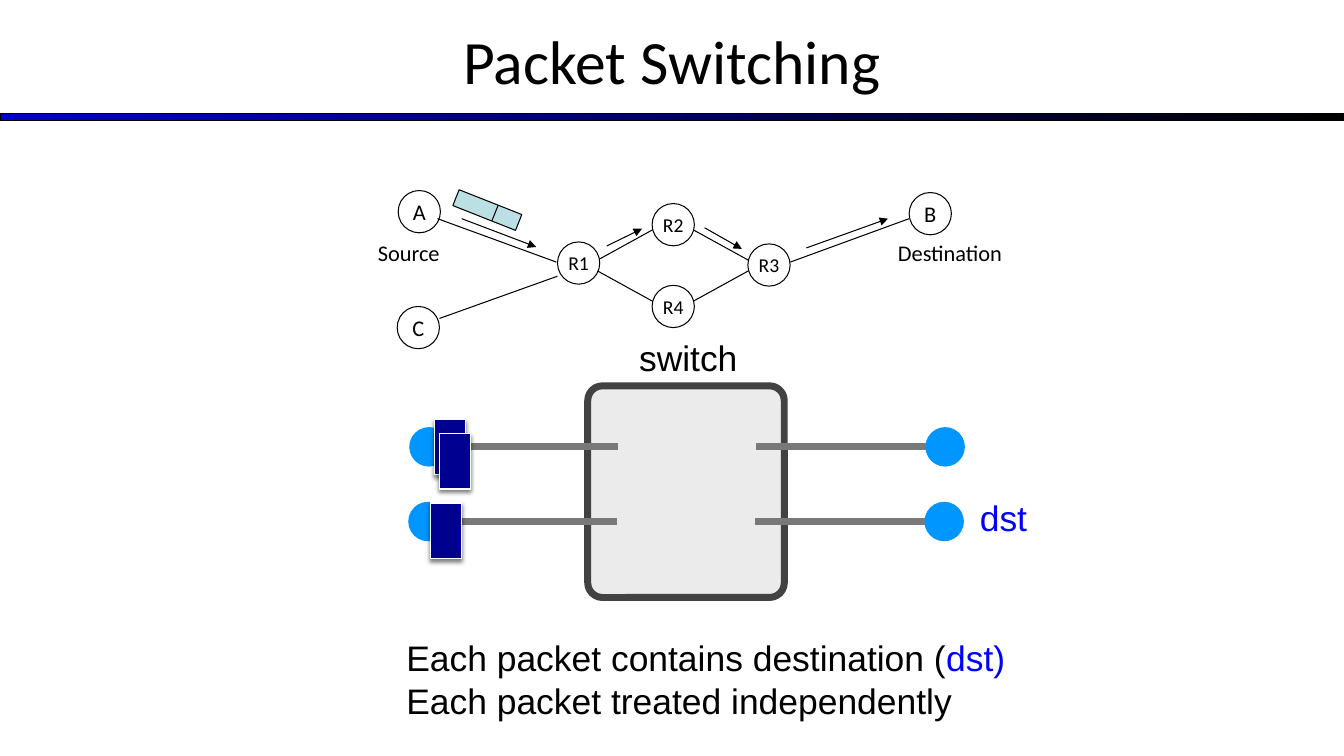
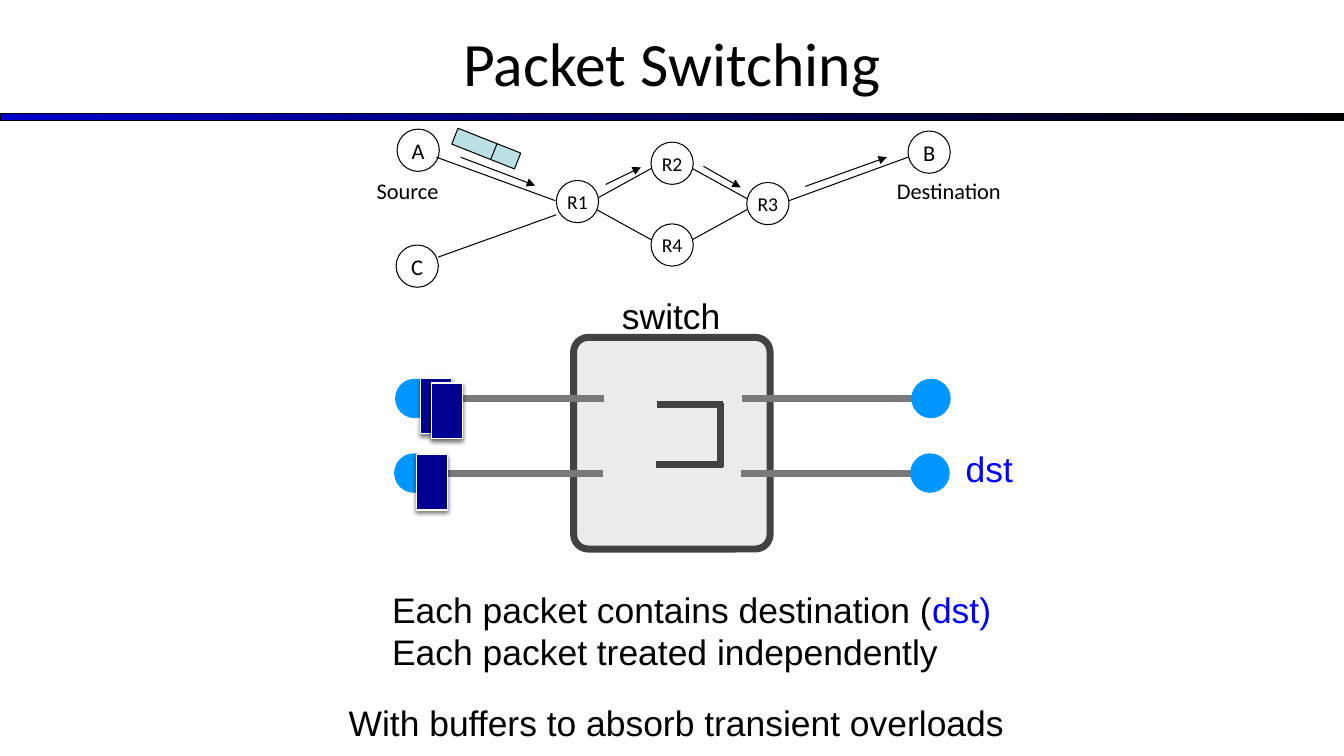
from lxml import etree
from pptx import Presentation, util as u
from pptx.dml.color import RGBColor
from pptx.enum import shapes, text
from pptx.oxml import ns

Pt = u.Pt
AUTO = shapes.MSO_SHAPE
COLORS = {
    "black": "000000", "white": "FFFFFF", "band": "0000CC", "dst": "0000FF",
    "header": "BBE0E3", "box": "EBEBEB", "frame": "424242", "wire": "797979",
    "port": "0096FF", "packet": "000090",
}
TITLE_FONT, BODY_FONT, BODY_SIZE = "Calibri", "Arial", 25.3
WIDTH, HEIGHT = 960, 540


def rgb(name):
    return RGBColor.from_string(COLORS[name])


def add_xml(parent, tag, **attrs):
    return etree.SubElement(parent, ns.qn(tag), attrs)


class Deck:
    """Style, current slide and the origin its elements are placed from."""

    def __init__(self):
        self.prs = Presentation()
        self.prs.slide_width, self.prs.slide_height = Pt(WIDTH), Pt(HEIGHT)

    def origin(self, dx, dy):
        self.dx, self.dy = dx, dy

    def place(self, x, y):
        return Pt(x + self.dx), Pt(y + self.dy)

    def new_slide(self, title, title_height):
        self.slide = self.prs.slides.add_slide(self.prs.slide_layouts[6])
        self.origin(0, 0)
        band = self.shape(AUTO.RECTANGLE, 0, 81.2, WIDTH, 5, line="black")
        band.fill.gradient()
        band.fill.gradient_angle = 0
        for stop, color in zip(band.fill.gradient_stops, ("band", "black")):
            stop.color.rgb = rgb(color)
        self.text(0, 0, WIDTH, title_height, [[(title, "black")]], 44, TITLE_FONT,
                  align=text.PP_ALIGN.CENTER)

    def shape(self, kind, x, y, w, h, fill=None, line=None, weight=0.75):
        s = self.slide.shapes.add_shape(kind, *self.place(x, y), Pt(w), Pt(h))
        s.shadow.inherit = False
        if fill:
            s.fill.solid()
            s.fill.fore_color.rgb = rgb(fill)
        else:
            s.fill.background()
        if line:
            s.line.color.rgb = rgb(line)
            s.line.width = Pt(weight)
        else:
            s.line.fill.background()
        return s

    def line(self, x1, y1, x2, y2, color="black", weight=0.75, arrow=False):
        s = self.slide.shapes.add_connector(
            shapes.MSO_CONNECTOR.STRAIGHT, *self.place(x1, y1), *self.place(x2, y2))
        s.line.color.rgb = rgb(color)
        s.line.width = Pt(weight)
        sp = s._element.spPr
        if arrow:
            add_xml(sp.find(ns.qn("a:ln")), "a:tailEnd", type="triangle")
        add_xml(sp, "a:effectLst")

    def text(self, x, y, w, h, lines, size=BODY_SIZE, font=BODY_FONT, align=None):
        s = self.slide.shapes.add_textbox(*self.place(x, y), Pt(w), Pt(h))
        tf = s.text_frame
        tf.word_wrap = True
        tf.vertical_anchor = text.MSO_ANCHOR.MIDDLE
        tf.margin_left = tf.margin_right = tf.margin_top = tf.margin_bottom = Pt(2.9)
        for i, pieces in enumerate(lines):
            p = tf.add_paragraph() if i else tf.paragraphs[0]
            p.alignment = align
            for words, color in pieces:
                r = p.add_run()
                r.text = words
                self.font(r, size, font, color)

    def font(self, r, size, name, color):
        r.font.size, r.font.name = Pt(size), name
        r.font.color.rgb = rgb(color)

    def node(self, name, x, y):
        s = self.shape(AUTO.OVAL, x, y, 30.2, 30.2, "white", "black")
        tf = s.text_frame
        tf.margin_left = tf.margin_right = tf.margin_top = tf.margin_bottom = 0
        tf.word_wrap = False
        tf.text = name
        p = tf.paragraphs[0]
        p.alignment = text.PP_ALIGN.CENTER
        self.font(p.runs[0], 16 if len(name) == 1 else 14, TITLE_FONT, "black")

    def packet(self, x, y):
        s = self.shape(AUTO.RECTANGLE, x, y, 22.3, 39.6, "packet", "white", 1)
        effects = s._element.spPr.find(ns.qn("a:effectLst"))
        shadow = add_xml(effects, "a:outerShdw", blurRad=str(Pt(3)), dist=str(Pt(2)),
                         dir="5400000", rotWithShape="0")
        color = add_xml(shadow, "a:srgbClr", val=COLORS["black"])
        add_xml(color, "a:alpha", val="50000")

    def network(self, dx, dy):
        self.origin(dx, dy)
        # Routers and hosts
        self.shape(AUTO.FLOWCHART_DECISION, 419.8, 156.2, 121.7, 67, line="black")
        for name, x, y in (("A", 284.4, 136.1), ("B", 649.4, 137.5), ("C", 283.7, 218.9),
                           ("R1", 398.2, 172.8), ("R2", 465.8, 145.4),
                           ("R3", 534.2, 174.2), ("R4", 465.8, 203.8)):
            self.node(name, x, y)
        # Links, then the route taken
        for ends in ((312.5, 156.2, 397.4, 187.2), (564.5, 187.2, 649.4, 156.2),
                     (313.9, 227.5, 398.2, 197.3)):
            self.line(*ends)
        for ends in ((329.8, 156.2, 383, 176.4), (433.4, 175.7, 458.6, 163.4),
                     (503.3, 162.7, 529.9, 177.8), (576, 177.1, 634.3, 156.2)):
            self.line(*ends, arrow=True)
        for words, x in (("Source", 267), ("Destination", 638.5)):
            self.text(x, 167, 110, 26.6, [[(words, "black")]], 16, TITLE_FONT)
        # Packet with header
        s = self.shape(AUTO.RECTANGLE, 324, 144, 48.2, 12.2, "header", "black")
        s.rotation = 21.6
        self.line(355.7, 146.9, 351.4, 157.7)

    def switch(self, dx, dy, label, packets, buffer=False):
        # Switch name is placed on the slide itself
        self.origin(0, 0)
        self.text(*label, 80, 36, [[("switch", "black")]])
        self.origin(dx, dy)
        s = self.shape(AUTO.ROUNDED_RECTANGLE, 419.8, 275.6, 140.4, 151.2,
                       "box", "frame", 5)
        s.adjustments[0] = 0.075
        if buffer:
            for ends in ((525.1, 368, 525.1, 322.6), (479.5, 323.3, 526.3, 323.3),
                         (478.8, 366.5, 526.3, 366.5)):
                self.line(*ends, color="frame", weight=5)
        # Two rows of ports, wired on both sides
        for y, shift in ((319.2, 0), (372.5, -0.7)):
            for x1, x2, port in ((310.3, 441.4, 292.3), (540, 671.8, 661)):
                self.line(x1 + shift, y, x2 + shift, y, "wire", 5)
                self.shape(AUTO.OVAL, port + shift, y - 14.1, 28.2, 28.2, "port")
        self.text(697, 351.4, 50, 36, [[("dst", "dst")]])
        self.text(287.3, 451.4, 445, 67, [
            [("Each packet contains destination (", "black"), ("dst)", "dst")],
            [("Each packet treated independently", "black")]])
        # Waiting packets
        self.origin(0, 0)
        for x, y in packets:
            self.packet(x, y)


def main():
    d = Deck()

    # Slide 1: forwarding
    d.new_slide("Packet Switching", 86)
    d.network(0, 0)
    d.switch(0, 0, (453.6, 237.6), ((310.3, 299.5), (307.4, 359.3), (313.9, 309.6)))

    # Slide 2: forwarding with a buffer
    d.new_slide("Packet Switching", 88)
    d.network(-0.8, -43.9)
    d.switch(-10.1, -34.6, (441.4, 207.4),
             ((300.2, 270), (308.2, 273.6), (297.4, 324.7)), buffer=True)
    d.text(246.2, 498.2, 485, 36,
           [[("With buffers to absorb transient overloads", "black")]])

    d.prs.save("out.pptx")


if __name__ == "__main__":
    main()
